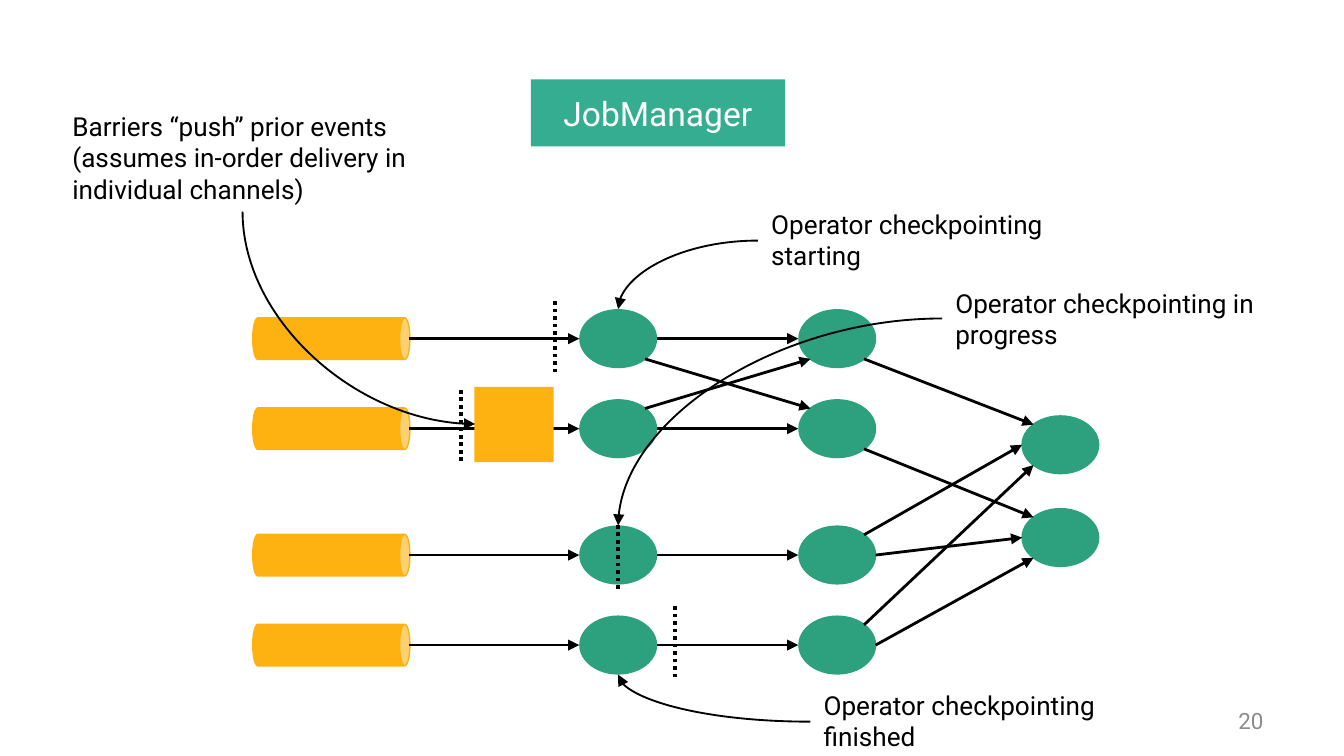
from lxml import etree
from pptx import Presentation
from pptx.dml.color import RGBColor
from pptx.enum.dml import MSO_LINE
from pptx.enum.shapes import MSO_CONNECTOR, MSO_SHAPE
from pptx.enum.text import MSO_ANCHOR, MSO_AUTO_SIZE, PP_ALIGN
from pptx.oxml.ns import qn
from pptx.util import Inches, Pt

STRAIGHT, CURVE = MSO_CONNECTOR.STRAIGHT, MSO_CONNECTOR.CURVE
OVAL, CAN, RECT = MSO_SHAPE.OVAL, MSO_SHAPE.CAN, MSO_SHAPE.RECTANGLE
LEFT, CENTER, RIGHT = PP_ALIGN.LEFT, PP_ALIGN.CENTER, PP_ALIGN.RIGHT
TOP, MIDDLE = MSO_ANCHOR.TOP, MSO_ANCHOR.MIDDLE
DOTTED = MSO_LINE.ROUND_DOT

GREEN = RGBColor(0x2D, 0xA0, 0x7E)
TEAL = RGBColor(0x34, 0xAD, 0x91)
AMBER = RGBColor(0xFD, 0xB2, 0x12)
BLACK = RGBColor(0, 0, 0)
WHITE = RGBColor(0xFF, 0xFF, 0xFF)
GRAY = RGBColor(0x8C, 0x8C, 0x8C)

# Widescreen slide, 16:9
prs = Presentation()
prs.slide_width = Inches(10)
prs.slide_height = Inches(10 * 9 / 16)
s = prs.slides.add_slide(prs.slide_layouts[6])


def add_shape(kind, x, y, w, h, color, outlined=True):
    sp = s.shapes.add_shape(kind, Inches(x), Inches(y), Inches(w), Inches(h))
    sp.shadow.inherit = False
    sp.fill.solid()
    sp.fill.fore_color.rgb = color
    if outlined:
        sp.line.color.rgb = color
        sp.line.width = Pt(0.75)
    else:
        sp.line.fill.background()
    return sp


def add_line(start, end, width=1.5, kind=STRAIGHT, arrow=True):
    c = s.shapes.add_connector(kind, *[Inches(v) for v in (*start, *end)])
    c.line.color.rgb = BLACK
    c.line.width = Pt(width)
    props = c._element.spPr
    if kind == CURVE:
        props.find(qn("a:prstGeom")).set("prst", "curvedConnector2")
    if arrow:
        etree.SubElement(props.find(qn("a:ln")), qn("a:tailEnd"), type="triangle")
    etree.SubElement(props, qn("a:effectLst"))
    return c


# Operators: two columns of four and a column of two sinks
NODE_W, NODE_H = 0.57, 0.43
ROWS = [2.52, 3.19, 4.13, 4.8]
COLUMNS = [(4.6, ROWS), (6.23, ROWS), (7.89, [3.31, 4.0])]
for x, centers in COLUMNS:
    for y in centers:
        add_shape(OVAL, x - NODE_W / 2, y - NODE_H / 2, NODE_W, NODE_H, GREEN)

# Sources: cans lying on their side
CAN_X, CAN_W, CAN_H = 2.31, 0.31, 1.17
for y in ROWS:
    sp = add_shape(CAN, CAN_X, y - CAN_H / 2, CAN_W, CAN_H, AMBER)
    sp.rotation = 90

# Arrows along each row
for y in ROWS:
    add_line((3.04, y), (4.31, y))
    add_line((4.89, y), (5.94, y))

# Arrows between rows: (column, row, site) to (column, row, site)
SITES = {"l": (-0.5, 0), "r": (0.5, 0), "tl": (-0.35, -0.35),
         "tr": (0.35, -0.35), "bl": (-0.35, 0.35), "br": (0.35, 0.35)}
EDGES = [
    ((0, 0, "br"), (1, 1, "tl")),
    ((0, 1, "tr"), (1, 0, "bl")),
    ((1, 0, "br"), (2, 0, "tl")),
    ((1, 1, "br"), (2, 1, "tl")),
    ((1, 2, "tr"), (2, 0, "l")),
    ((1, 2, "r"), (2, 1, "l")),
    ((1, 3, "tr"), (2, 0, "bl")),
    ((1, 3, "r"), (2, 1, "bl")),
]
for edge in EDGES:
    ends = []
    for column, row, site in edge:
        x, centers = COLUMNS[column]
        dx, dy = SITES[site]
        ends.append((x + dx * NODE_W, centers[row] + dy * NODE_H))
    add_line(*ends)

# Barriers
for x, y in [(4.13, 2.24), (3.43, 2.9), (4.6, 3.85), (5.02, 4.51)]:
    c = add_line((x, y), (x, y + 0.55), 2, arrow=False)
    c.line.dash_style = DOTTED

# Events pushed by a barrier, and the job manager
add_shape(RECT, 3.53, 2.88, 0.59, 0.56, AMBER, outlined=False)
manager = add_shape(RECT, 3.95, 0.59, 1.89, 0.5, TEAL, outlined=False)

# Text boxes: notes and slide number
texts = [(manager, "JobManager", 18, WHITE, CENTER, MIDDLE)]
for x, y, w, h, text, size, color, align, anchor in [
    (0.44, 0.77, 2.74, 0.81, "Barriers “push” prior events (assumes in-order "
     "delivery in individual channels)", 14, BLACK, LEFT, TOP),
    (5.64, 1.5, 2.74, 0.57, "Operator checkpointing starting", 14, BLACK, LEFT, TOP),
    (7.01, 2.09, 2.74, 0.57, "Operator checkpointing in progress", 14, BLACK, LEFT, TOP),
    (6.03, 5.08, 2.74, 0.57, "Operator checkpointing finished", 14, BLACK, LEFT, TOP),
    (7.17, 5.21, 2.33, 0.3, "20", 12, GRAY, RIGHT, MIDDLE),
]:
    sp = s.shapes.add_textbox(Inches(x), Inches(y), Inches(w), Inches(h))
    if anchor == TOP:
        sp.text_frame.auto_size = MSO_AUTO_SIZE.SHAPE_TO_FIT_TEXT
    texts.append((sp, text, size, color, align, anchor))

for sp, text, size, color, align, anchor in texts:
    tf = sp.text_frame
    tf.word_wrap = True
    tf.vertical_anchor = anchor
    p = tf.paragraphs[0]
    p.alignment = align
    r = p.add_run()
    r.text = text
    for name, value in {"name": "Roboto", "size": Pt(size)}.items():
        setattr(r.font, name, value)
    r.font.color.rgb = color

# Curved pointers from the notes
for start, end in [
    ((5.64, 1.79), (4.6, 2.3)),
    ((7.01, 2.37), (4.6, 3.91)),
    ((6.03, 5.37), (4.6, 5.02)),
]:
    add_line(start, end, 1, CURVE)

# This one leaves its note downwards, so it is turned by 270 degrees
c = add_line((3.46, 1.5), (1.88, 3.23), 1, CURVE)
c._element.spPr.find(qn("a:xfrm")).set("rot", str(270 * 60000))

prs.save("out.pptx")
